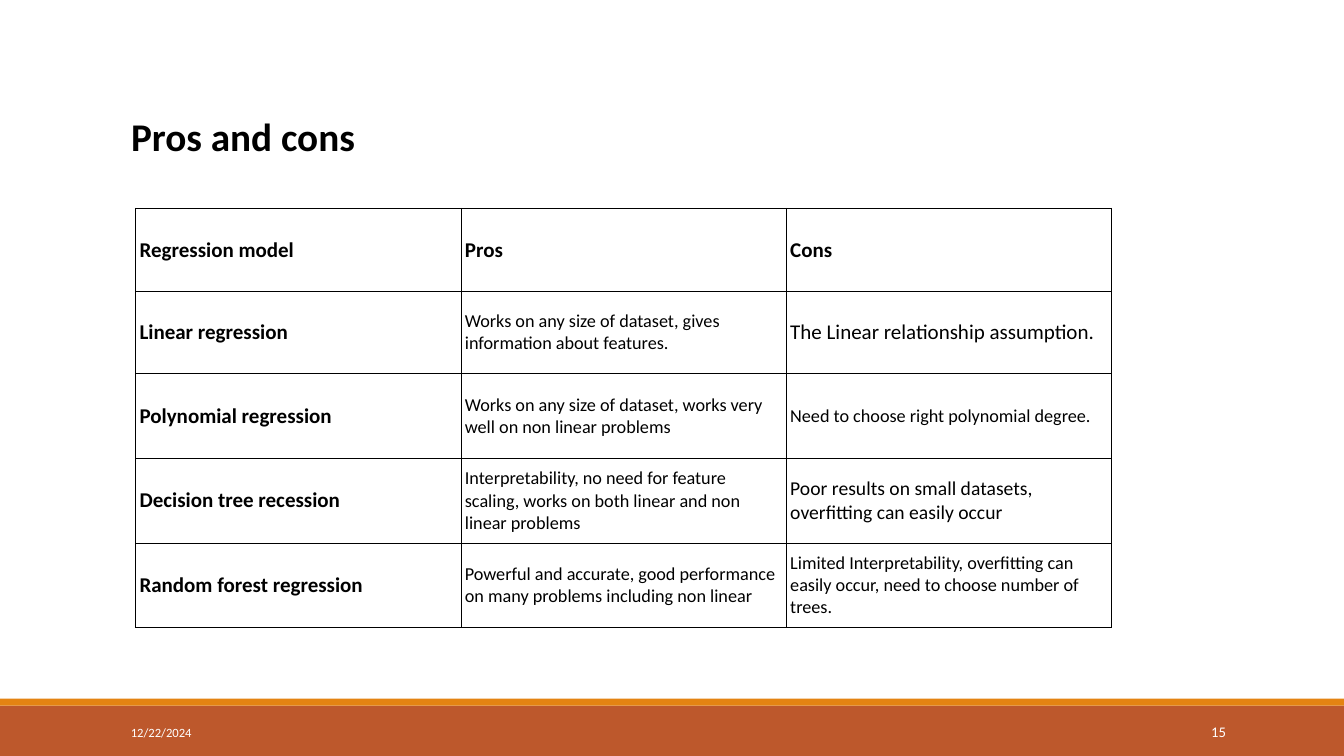
from dataclasses import dataclass

from lxml import etree
from pptx import Presentation
from pptx.dml.color import RGBColor
from pptx.enum.shapes import MSO_SHAPE
from pptx.enum.text import MSO_ANCHOR, MSO_AUTO_SIZE, PP_ALIGN
from pptx.oxml.ns import qn
from pptx.util import Pt

RECT = MSO_SHAPE.RECTANGLE
MIDDLE = MSO_ANCHOR.MIDDLE
NO_AUTOFIT = MSO_AUTO_SIZE.NONE
LEFT, RIGHT = PP_ALIGN.LEFT, PP_ALIGN.RIGHT
TITLE_ONLY = 5


@dataclass(frozen=True)
class Theme:
    font: str = "Calibri"
    ink: str = "000000"
    paper: str = "FFFFFF"
    band: str = "BD582C"
    accent: str = "E48312"
    title: float = 28
    label: float = 15
    medium: float = 14
    body: float = 13
    number: float = 10.5
    date: float = 9


THEME = Theme()
SLIDE_W, SLIDE_H = 960, 540
TABLE_LEFT, TABLE_TOP, COL_W = 97, 149, 232.4
ROW_HEIGHTS = [59, 59, 60.5, 60.5, 60.5]
CELL_INSET = 2.7
HEADERS = ["Regression model", "Pros", "Cons"]
# Model, pros, cons, type size of the cons
MODELS = [
    ("Linear regression",
     "Works on any size of dataset, gives information about features.",
     "The Linear relationship assumption.", THEME.label),
    ("Polynomial regression",
     "Works on any size of dataset, works very well on non linear problems",
     "Need to choose right polynomial degree.", THEME.body),
    ("Decision tree recession",
     "Interpretability, no need for feature scaling, works on both linear and non linear problems",
     "Poor results on small datasets, overfitting can easily occur", THEME.medium),
    ("Random forest regression",
     "Powerful and accurate, good performance on many problems including non linear",
     "Limited Interpretability, overfitting can easily occur, need to choose number of trees.",
     THEME.body),
]


def write(tf, text, size, color=THEME.ink, bold=False, align=LEFT):
    tf.word_wrap = True
    p = tf.paragraphs[0]
    p.text = text
    p.alignment = align
    p.font.name = THEME.font
    p.font.size = Pt(size)
    p.font.bold = bold
    p.font.color.rgb = RGBColor.from_string(color)


def add_title(s, text):
    sp = s.shapes.title
    sp.left, sp.top, sp.width, sp.height = Pt(86.4), Pt(76.3), Pt(480), Pt(41)
    sp.text_frame.auto_size = NO_AUTOFIT
    sp.text_frame.vertical_anchor = MIDDLE
    write(sp.text_frame, text, THEME.title, bold=True)


def add_band(s, top, height, color):
    sp = s.shapes.add_shape(RECT, 0, Pt(top), Pt(SLIDE_W), Pt(height))
    sp.shadow.inherit = False
    sp.fill.solid()
    sp.fill.fore_color.rgb = RGBColor.from_string(color)
    sp.line.fill.background()


def add_footer_text(s, left, width, text, size, align):
    tf = s.shapes.add_textbox(Pt(left), Pt(508.5), Pt(width), Pt(28.8)).text_frame
    tf.vertical_anchor = MIDDLE
    write(tf, text, size, THEME.paper, align=align)


def add_borders(cell):
    tc_pr = cell._tc.get_or_add_tcPr()
    for side in ("lnL", "lnR", "lnT", "lnB"):
        ln = etree.SubElement(tc_pr, qn(f"a:{side}"), w=str(Pt(1)))
        fill = etree.SubElement(ln, qn("a:solidFill"))
        etree.SubElement(fill, qn("a:srgbClr"), val=THEME.ink)


def fill_cell(cell, text, size, bold):
    add_borders(cell)
    cell.fill.background()
    cell.vertical_anchor = MIDDLE
    cell.margin_left = cell.margin_right = Pt(CELL_INSET)
    cell.margin_top = cell.margin_bottom = Pt(CELL_INSET)
    write(cell.text_frame, text, size, bold=bold)


def add_model_table(s):
    table = s.shapes.add_table(
        len(ROW_HEIGHTS), len(HEADERS), Pt(TABLE_LEFT), Pt(TABLE_TOP),
        Pt(COL_W * len(HEADERS)), Pt(sum(ROW_HEIGHTS))).table
    table.first_row = table.horz_banding = False
    for column in table.columns:
        column.width = Pt(COL_W)
    for row, height in zip(table.rows, ROW_HEIGHTS):
        row.height = Pt(height)
    for c, header in enumerate(HEADERS):
        fill_cell(table.cell(0, c), header, THEME.label, True)
    for r, (model, pros, cons, cons_size) in enumerate(MODELS, start=1):
        fill_cell(table.cell(r, 0), model, THEME.label, True)
        fill_cell(table.cell(r, 1), pros, THEME.body, False)
        fill_cell(table.cell(r, 2), cons, cons_size, False)


def main():
    prs = Presentation()
    prs.slide_width, prs.slide_height = Pt(SLIDE_W), Pt(SLIDE_H)
    s = prs.slides.add_slide(prs.slide_layouts[TITLE_ONLY])
    add_band(s, 504, 36, THEME.band)
    add_band(s, 499, 5, THEME.accent)
    add_model_table(s)
    add_footer_text(s, 86.4, 194.4, "12/22/2024", THEME.date, LEFT)
    add_footer_text(s, 779.8, 103, "15", THEME.number, RIGHT)
    add_title(s, "Pros and cons")
    prs.save("out.pptx")


if __name__ == "__main__":
    main()
